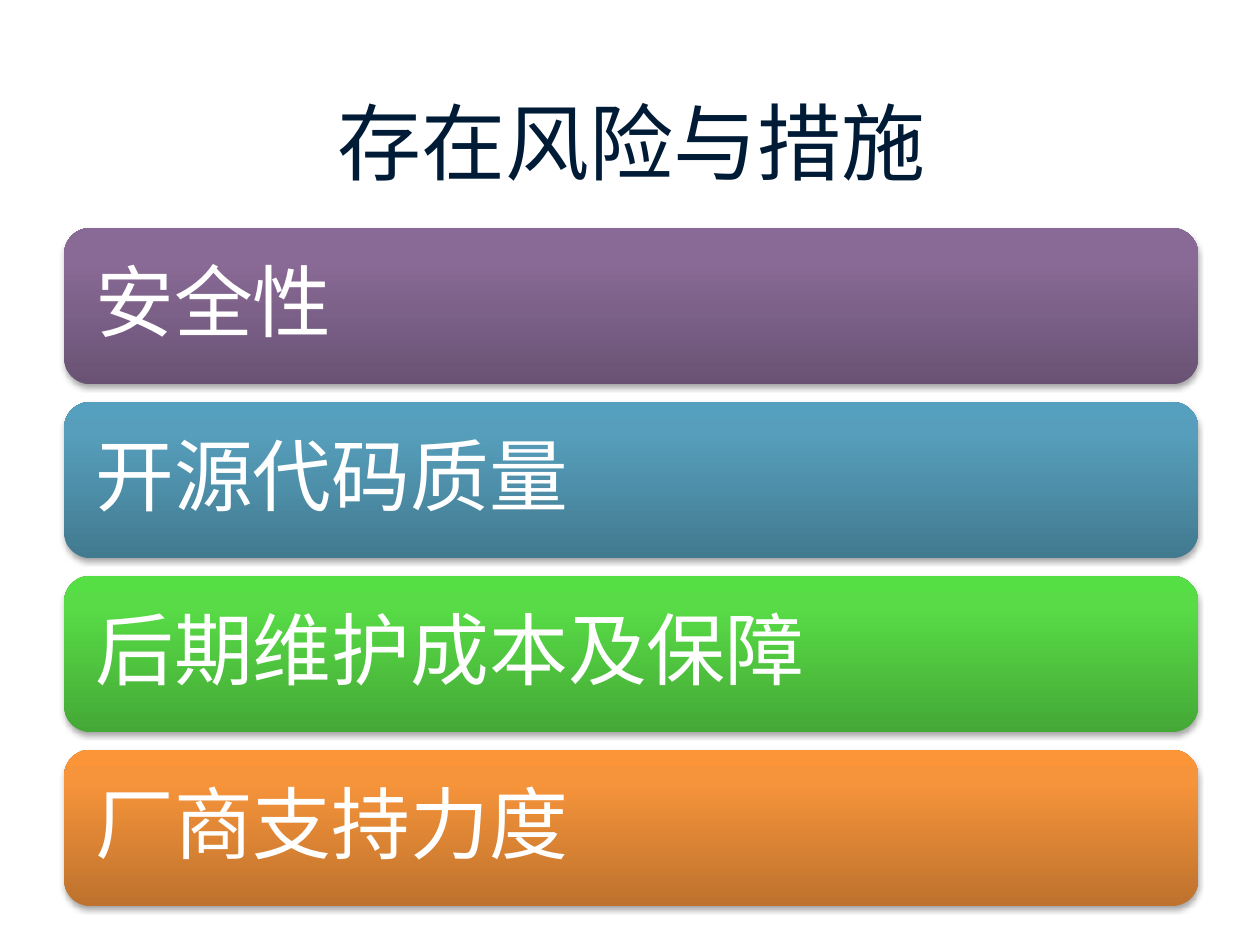
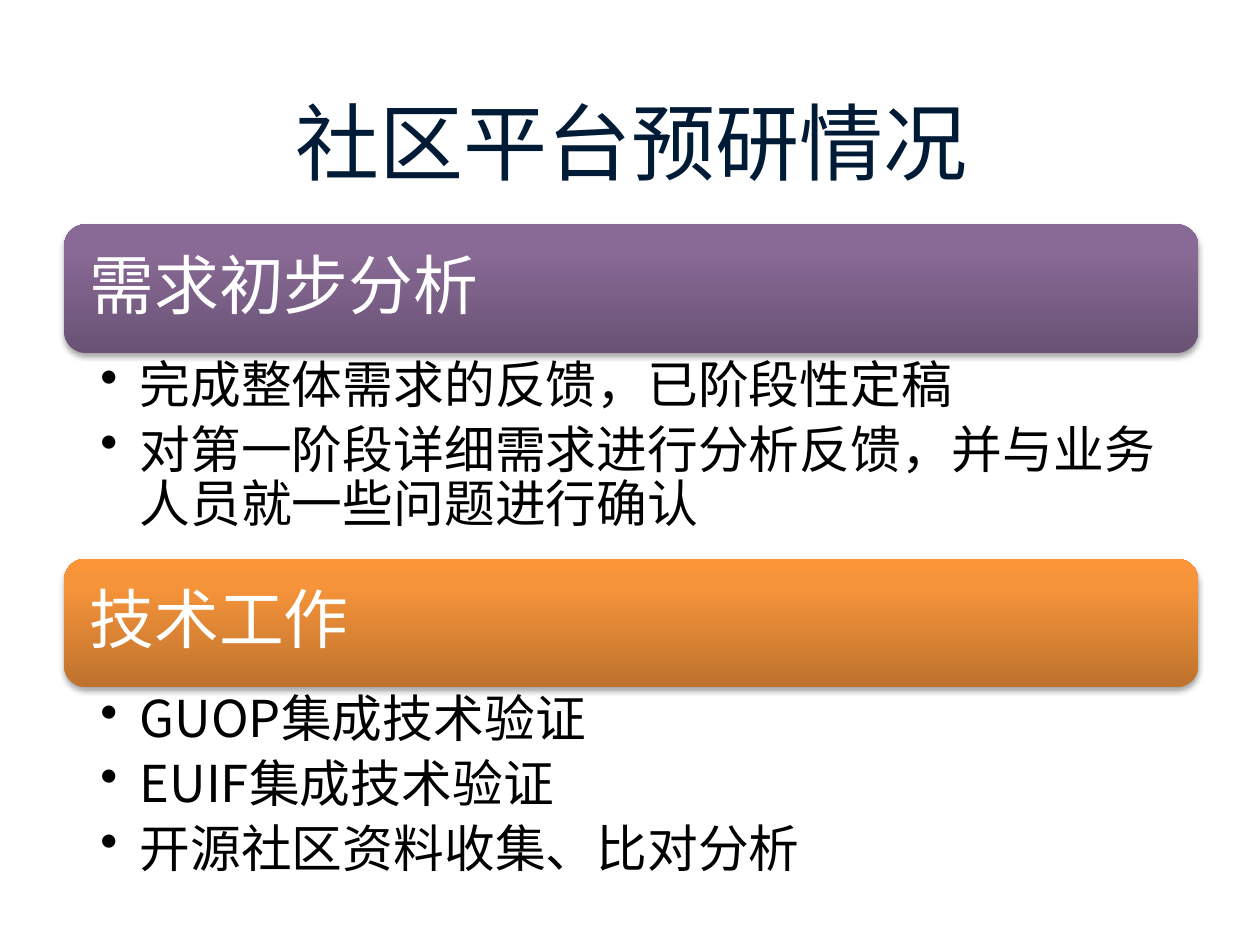
from lxml.etree import SubElement
from pptx import Presentation
from pptx.dml.color import RGBColor
from pptx.enum.shapes import MSO_SHAPE
from pptx.enum.text import MSO_ANCHOR, PP_ALIGN
from pptx.oxml import parse_xml
from pptx.oxml.ns import nsdecls, qn
from pptx.util import Pt

COLORS = {"title": "001B36", "white": "FFFFFF", "black": "000000"}
GRADIENTS = {
    "purple": ("695274", "896A96", "8A6A98"),
    "blue": ("427A90", "569EBB", "55A0BE"),
    "green": ("44A836", "58DB46", "56DF44"),
    "orange": ("BE722D", "F6943B", "FB9537"),
}
STOPS = (0, 80, 100)
TITLE_FONT, BODY_FONT = "Arial", "Noto Sans CJK SC"
LEFT, WIDTH = 36.7, 648

RISKS = [
    ("安全性", "purple"),
    ("开源代码质量", "blue"),
    ("后期维护成本及保障", "green"),
    ("厂商支持力度", "orange"),
]
RESEARCH = [
    ("需求初步分析", "purple", 117.4, [
        "完成整体需求的反馈，已阶段性定稿",
        "对第一阶段详细需求进行分析反馈，并与业务人员就一些问题进行确认",
    ]),
    ("技术工作", "orange", 126.7, [
        "GUOP集成技术验证",
        "EUIF集成技术验证",
        "开源社区资料收集、比对分析",
    ]),
]


def add_run(p, text, size, color, font=BODY_FONT):
    """Add one formatted run to a paragraph."""
    r = p.add_run()
    r.text = text
    r.font.name, r.font.size = font, Pt(size)
    r.font.color.rgb = RGBColor.from_string(COLORS[color])


def set_margins(tf, side, end):
    """Set the side and the top and bottom margins of a wrapped text frame."""
    tf.word_wrap = True
    tf.margin_left = tf.margin_right = Pt(side)
    tf.margin_top = tf.margin_bottom = Pt(end)


def add_title_slide(prs, title):
    """Add a title-only slide with the shared title style."""
    s = prs.slides.add_slide(prs.slide_layouts[5])
    sp = s.shapes.title
    sp.left, sp.top, sp.width, sp.height = Pt(LEFT), Pt(49), Pt(WIDTH), Pt(62.6)
    tf = sp.text_frame
    tf.vertical_anchor = MSO_ANCHOR.MIDDLE
    p = tf.paragraphs[0]
    p.alignment = PP_ALIGN.CENTER
    add_run(p, title, 48, "title", TITLE_FONT)
    return s


def style_bar(sp, gradient):
    """Give a bar its vertical gradient and soft shadow."""
    stops = "".join(
        f'<a:gs pos="{pos * 1000}"><a:srgbClr val="{color}"/></a:gs>'
        for pos, color in zip(STOPS, GRADIENTS[gradient]))
    sp.line.fill.background()
    spPr = sp.element.spPr
    spPr.find(qn("a:prstGeom")).addnext(parse_xml(
        f'<a:gradFill {nsdecls("a")} rotWithShape="1"><a:gsLst>{stops}</a:gsLst>'
        '<a:lin ang="16200000" scaled="0"/></a:gradFill>'))
    spPr.find(qn("a:ln")).addnext(parse_xml(
        f'<a:effectLst {nsdecls("a")}><a:outerShdw blurRad="{Pt(3.1)}" '
        f'dist="{Pt(1.8)}" dir="5400000" rotWithShape="0"><a:srgbClr val="000000">'
        '<a:alpha val="35000"/></a:srgbClr></a:outerShdw></a:effectLst>'))


def add_bar(s, top, height, text, gradient, size, margin):
    """Add a rounded heading bar with its text."""
    sp = s.shapes.add_shape(MSO_SHAPE.ROUNDED_RECTANGLE,
                            Pt(LEFT), Pt(top), Pt(WIDTH), Pt(height))
    style_bar(sp, gradient)
    tf = sp.text_frame
    set_margins(tf, margin, margin)
    tf.vertical_anchor = MSO_ANCHOR.MIDDLE
    p = tf.paragraphs[0]
    p.alignment = PP_ALIGN.LEFT
    p.line_spacing, p.space_after = 0.9, Pt(0.35 * size)
    add_run(p, text, size, "white")


def add_bullets(s, top, height, items, size=29):
    """Add a bulleted list below a bar."""
    sp = s.shapes.add_textbox(Pt(LEFT), Pt(top), Pt(WIDTH), Pt(height))
    tf = sp.text_frame
    set_margins(tf, 20.6, 3.6)
    for i, item in enumerate(items):
        p = tf.add_paragraph() if i else tf.paragraphs[0]
        pPr = p._p.get_or_add_pPr()
        pPr.set("marL", str(Pt(22.5)))
        pPr.set("indent", str(-Pt(22.5)))
        SubElement(pPr, qn("a:buChar"), char="•")
        p.line_spacing, p.space_after = 0.9, Pt(0.2 * size)
        add_run(p, item, size, "black")


def add_risks(prs, top=130.3, height=89.3, pitch=99.4):
    """Add the slide of evenly spaced risk bars."""
    s = add_title_slide(prs, "存在风险与措施")
    for i, (text, gradient) in enumerate(RISKS):
        add_bar(s, top + i * pitch, height, text, gradient, 45, 13.5)


def add_research(prs, top=128.2, height=73.6):
    """Add the slide of stacked bars and bullet lists."""
    s = add_title_slide(prs, "社区平台预研情况")
    for text, gradient, list_height, items in RESEARCH:
        add_bar(s, top, height, text, gradient, 37, 11.1)
        add_bullets(s, top + height, list_height, items)
        top += height + list_height


def main():
    """Build and save the presentation."""
    prs = Presentation()
    prs.slide_width, prs.slide_height = Pt(720), Pt(540)
    add_risks(prs)
    add_research(prs)
    prs.save("out.pptx")


if __name__ == "__main__":
    main()
